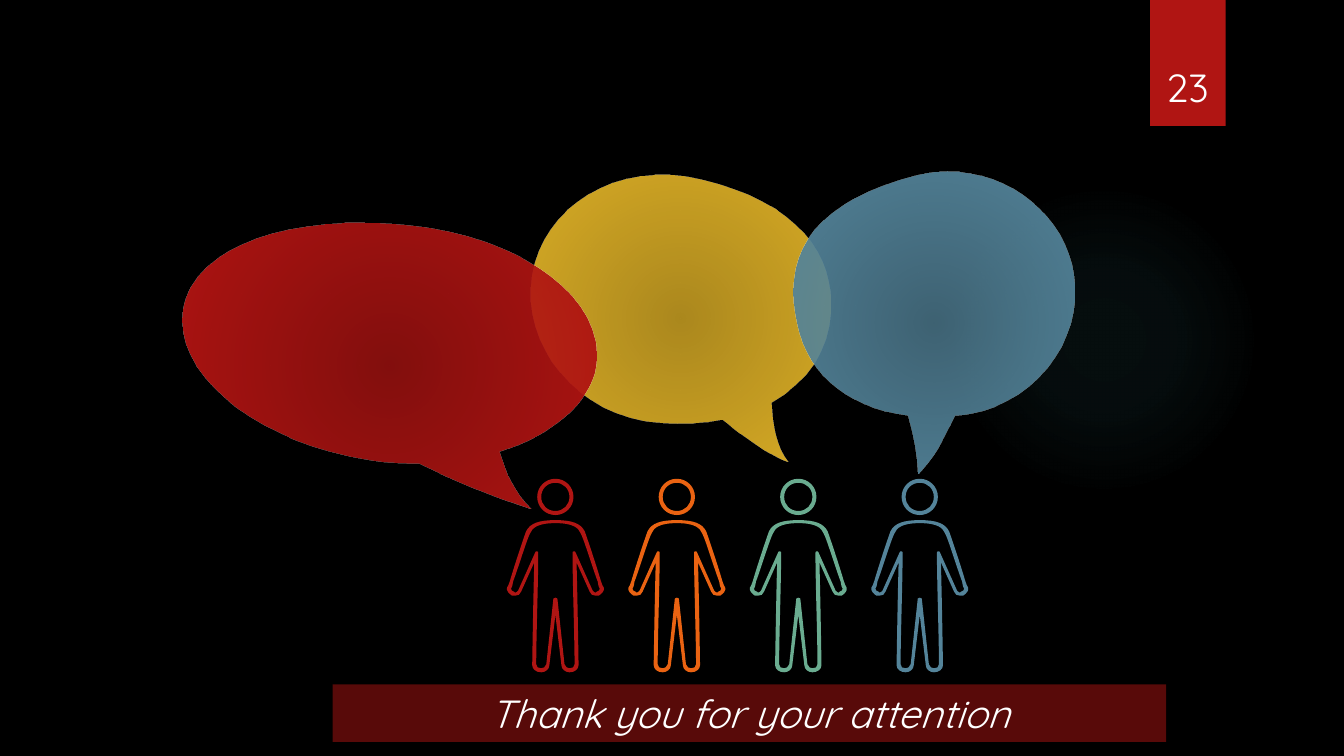
"""Build the closing slide with speech bubbles above four people."""
import math

import lxml.etree
import pptx
import pptx.dml.color
import pptx.enum.shapes
import pptx.enum.text
import pptx.oxml
import pptx.oxml.ns
import pptx.util

PX = 9144
COLORS = {"black": "000000", "white": "FFFFFF", "red": "B01513", "orange": "EA6312",
          "yellow": "E6B729", "green": "6AAC90", "blue": "54849A", "teal": "50B9C1"}
FONT = {"name": "Quicksand", "size": pptx.util.Pt(28)}

GLOW = {"box": (941, 183, 308, 308), "color": "teal", "stops": [(0, 7), (36, 6), (69, 0)]}
TAB_BOX = (1141, 0, 75, 125)
NUMBER = {"box": (1132, 58, 92, 84), "text": "23"}
BANNER = {"box": (330, 679, 827, 57), "text": "Thank you for your attention", "opacity": 50}

BUBBLES = {
    "yellow": {
        "center": (676, 303), "rotation": 9.8, "stops": [(0, 75), (100, 95)],
        "start": (765, 399),
        "curves": [((801, 379), (822, 346), (824, 310)), ((828, 252), (791, 201), (697, 178)),
                   ((609, 156), (539, 207), (528, 273)), ((516, 340), (573, 414), (655, 419)),
                   ((678, 421), (699, 420), (717, 416)), ((737, 432), (762, 451), (782, 458)),
                   ((770, 444), (766, 420), (765, 399))]},
    "blue": {
        "center": (930, 315), "rotation": 351.1, "stops": [(0, 75), (100, 100)],
        "start": (789, 312),
        "curves": [((778, 246), (811, 200), (909, 174)), ((984, 155), (1055, 206), (1065, 272)),
                   ((1076, 338), (1023, 407), (947, 412)), ((937, 435), (925, 456), (911, 470)),
                   ((910, 451), (907, 433), (901, 412)), ((836, 404), (797, 366), (789, 312))]},
    "red": {
        "center": (384, 347), "rotation": 9.1, "stops": [(0, 75), (100, 100)],
        "start": (495, 448),
        "curves": [((547, 432), (585, 400), (591, 363)), ((601, 299), (521, 235), (403, 223)),
                   ((291, 211), (193, 243), (182, 307)), ((172, 371), (254, 438), (365, 456)),
                   ((383, 459), (399, 460), (416, 460)), ((443, 473), (485, 492), (527, 505)),
                   ((511, 490), (501, 469), (495, 448))]},
}

PEOPLE = ["red", "orange", "green", "blue"]
FIRST_PERSON_X, PERSON_STEP = 551, 120.5
HEAD_HALVES = [
    ((0, 475), [((10, 475), (18, 483), (18, 493)), ((18, 503), (10, 511), (0, 511))]),
    ((0, 479), [((8, 479), (14, 485), (14, 493)), ((14, 501), (8, 507), (0, 507))]),
]
BODY_HALVES = [
    ((0, 516), [((16, 516), (25, 519), (29, 527)), ((31, 532), (41, 562), (45, 576)),
                ((46, 579), (47, 582), (48, 583)), ((49, 586), (46, 589), (43, 591)),
                ((42, 591), (41, 591), (40, 591)), ((37, 591), (35, 590), (34, 587)),
                ((21, 558),), ((22, 596), (23, 657), (23, 660)),
                ((23, 664), (19, 667), (14, 667)), ((10, 667), (6, 664), (6, 660)),
                ((0, 610),)]),
    ((0, 519), [((18, 519), (23, 524), (25, 529)), ((28, 534), (37, 564), (42, 577)),
                ((42, 579), (43, 581), (43, 582)), ((44, 583), (44, 583), (44, 584)),
                ((44, 585), (43, 587), (41, 587)), ((41, 587), (41, 588), (40, 588)),
                ((39, 588), (38, 587), (37, 586)), ((20, 548),),
                ((20, 547), (19, 547), (18, 547)), ((17, 547), (17, 548), (17, 549)),
                ((17, 577), (19, 632), (19, 659)), ((19, 662), (17, 663), (14, 663)),
                ((12, 663), (10, 662), (9, 659)), ((2, 594),),
                ((2, 594), (1, 593), (0, 593))]),
]


def emu(*lengths):
    return [round(length * PX) for length in lengths]


def rgb(color):
    return pptx.dml.color.RGBColor.from_string(COLORS[color])


def trace(start, curves):
    points = [start]
    for curve in curves:
        points.extend(curve if len(curve) == 3 else (points[-1], *curve, *curve))
    return points


def turn(points, center, degrees):
    cosine, sine = math.cos(math.radians(degrees)), math.sin(math.radians(degrees))
    offsets = [(x - center[0], y - center[1]) for x, y in points]
    return [(center[0] + x * cosine - y * sine, center[1] + x * sine + y * cosine)
            for x, y in offsets]


def mirror(half, center_x):
    right = trace(*half)
    left = [(-x, y) for x, y in reversed(right)]
    return [(center_x + x, y) for x, y in right + left[1:]]


def bend(shape):
    line_tag, curve_tag = pptx.oxml.ns.qn("a:lnTo"), pptx.oxml.ns.qn("a:cubicBezTo")
    for outline in shape._element.spPr.iter(pptx.oxml.ns.qn("a:path")):
        lines = outline.findall(line_tag)
        for first, second, third in zip(lines[::3], lines[1::3], lines[2::3]):
            curve = lxml.etree.SubElement(outline, curve_tag)
            outline.replace(first, curve)
            for line in (first, second, third):
                curve.append(line[0])
            outline.remove(second)
            outline.remove(third)


def add_outline(shapes, contours):
    contours = [[emu(*point) for point in contour] for contour in contours]
    builder = shapes.build_freeform(*contours[0][0], scale=1.0)
    for index, contour in enumerate(contours):
        if index:
            builder.move_to(*contour[0])
        builder.add_line_segments(contour[1:], close=True)
    shape = strip(builder.convert_to_shape())
    bend(shape)
    return shape


def add_preset(shapes, kind, box):
    return strip(shapes.add_shape(kind, *emu(*box)))


def strip(shape):
    shape.shadow.inherit = False
    shape.line.fill.background()
    return shape


def fill_solid(shape, color, opacity=100):
    shape.fill.solid()
    shape.fill.fore_color.rgb = rgb(color)
    if opacity < 100:
        color_element = shape._element.spPr.find(".//" + pptx.oxml.ns.qn("a:srgbClr"))
        lxml.etree.SubElement(color_element, pptx.oxml.ns.qn("a:alpha"), val=str(opacity * 1000))


def fill_radial(shape, color, stops):
    stop_xml = "".join(
        f'<a:gs pos="{position * 1000}"><a:srgbClr val="{COLORS[color]}">'
        f'<a:alpha val="{opacity * 1000}"/></a:srgbClr></a:gs>' for position, opacity in stops)
    gradient = pptx.oxml.parse_xml(
        f'<a:gradFill {pptx.oxml.ns.nsdecls("a")} rotWithShape="1"><a:gsLst>{stop_xml}</a:gsLst>'
        '<a:path path="circle"><a:fillToRect l="50000" t="50000" r="50000" b="50000"/></a:path>'
        '</a:gradFill>')
    shape.fill.background()
    properties = shape._element.spPr
    properties.replace(properties.find(pptx.oxml.ns.qn("a:noFill")), gradient)


def write(shape, text, anchor, **extra):
    frame = shape.text_frame
    frame.word_wrap = True
    frame.vertical_anchor = anchor
    paragraph = frame.paragraphs[0]
    paragraph.text = text
    paragraph.alignment = pptx.enum.text.PP_ALIGN.CENTER
    font = paragraph.runs[0].font
    for name, value in {**FONT, **extra}.items():
        setattr(font, name, value)
    font.color.rgb = rgb("white")


def add_bubble(shapes, color):
    bubble = BUBBLES[color]
    points = trace(bubble["start"], bubble["curves"])
    shape = add_outline(shapes, [turn(points, bubble["center"], -bubble["rotation"])])
    shape.rotation = bubble["rotation"]
    fill_radial(shape, color, bubble["stops"])


def main():
    presentation = pptx.Presentation()
    presentation.slide_width = pptx.util.Emu(12192000)
    presentation.slide_height = pptx.util.Inches(7.5)
    slide = presentation.slides.add_slide(presentation.slide_layouts[6])
    slide.background.fill.solid()
    slide.background.fill.fore_color.rgb = rgb("black")
    shapes = slide.shapes
    kinds = pptx.enum.shapes.MSO_SHAPE
    anchors = pptx.enum.text.MSO_ANCHOR

    fill_radial(add_preset(shapes, kinds.OVAL, GLOW["box"]), GLOW["color"], GLOW["stops"])
    fill_solid(add_preset(shapes, kinds.RECTANGLE, TAB_BOX), "red")
    add_bubble(shapes, "yellow")
    add_bubble(shapes, "blue")

    banner = add_preset(shapes, kinds.RECTANGLE, BANNER["box"])
    fill_solid(banner, "red", BANNER["opacity"])
    write(banner, BANNER["text"], anchors.MIDDLE, italic=True)

    for index, color in enumerate(PEOPLE):
        person = shapes.add_group_shape()
        center_x = FIRST_PERSON_X + index * PERSON_STEP
        for halves in (HEAD_HALVES, BODY_HALVES):
            part = add_outline(person.shapes, [mirror(half, center_x) for half in halves])
            fill_solid(part, color)

    add_bubble(shapes, "red")
    write(shapes.add_textbox(*emu(*NUMBER["box"])), NUMBER["text"], anchors.TOP)
    presentation.save("out.pptx")


if __name__ == "__main__":
    main()
